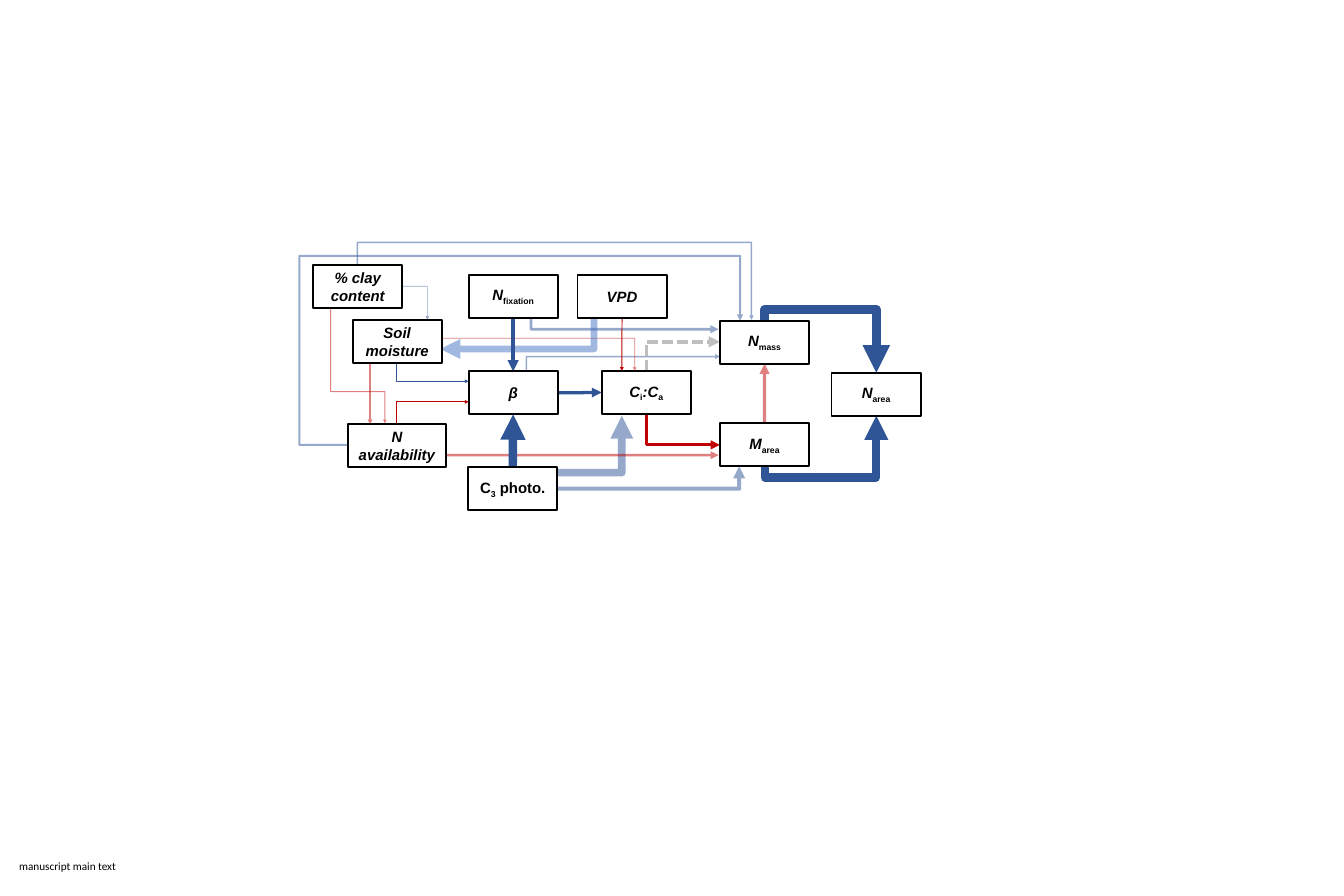
from lxml import etree
from pptx import Presentation
from pptx import util as u
from pptx.dml import color
from pptx.enum import dml, shapes, text
from pptx.oxml import ns

BLUE, RED, GREY, SKY = "2F5597", "C00000", "BFBFBF", "4472C4"
WIDE, HIGH = 1.99, 0.96
TOP, LEFT, BOTTOM, RIGHT = range(4)

# Boxes: name, left, top, width, runs of (text, style)
BOXES = [
    ("beta", 10.46, 8.29, WIDE, [("β", "italic")]),
    ("fix", 10.46, 6.13, WIDE, [("N", "italic"), ("fixation", "sub")]),
    ("narea", 18.56, 8.32, WIDE, [("Ν", "italic"), ("area", "sub")]),
    ("marea", 16.07, 9.45, WIDE, [("M", "italic"), ("area", "sub")]),
    ("nmass", 16.07, 7.16, WIDE, [("N", "italic"), ("mass", "sub")]),
    ("ratio", 13.43, 8.28, WIDE, [("C", "italic"), ("i", "sub"),
                                  (":C", "italic"), ("a", "sub")]),
    ("avail", 7.76, 9.46, 2.2, [("N availability", "italic")]),
    ("clay", 6.99, 5.91, WIDE, [("% clay content", "italic")]),
    ("photo", 10.45, 10.43, WIDE, [("C", "plain"), ("3", "sub"),
                                   (" photo.", "plain")]),
    ("soil", 7.87, 7.15, WIDE, [("Soil moisture", "italic")]),
    ("vpd", 12.89, 6.13, WIDE, [("VPD", "italic")]),
]

# Straight arrows: start, end, colour, points, faded, start joint, end joint
STRAIGHT = [
    ((9.96, 10.16), (16.04, 10.16), RED, 4.29, True, None, None),
    ((12.45, 8.76), (13.42, 8.76), BLUE, 5.25, False,
     ("beta", RIGHT), ("ratio", LEFT)),
    ((13.88, 7.08), (13.88, 8.28), RED, 1.55, False, ("vpd", BOTTOM), None),
    ((11.45, 7.09), (11.45, 8.29), BLUE, 6, False,
     ("fix", BOTTOM), ("beta", TOP)),
    ((11.44, 10.43), (11.45, 9.25), BLUE, 13.6, False,
     ("photo", TOP), ("beta", BOTTOM)),
    ((17.07, 9.45), (17.07, 8.11), RED, 5.46, True,
     ("marea", TOP), ("nmass", BOTTOM)),
    ((8.26, 8.13), (8.26, 9.47), RED, 2.62, True, None, None),
]

# Bent arrows: start, end, first direction, inner tracks, colour, points, faded
BENT = [
    ((11.72, 8.34), (16.07, 7.96), "h", [11.75], BLUE, 2.65, True),
    ((8.86, 7.85), (10.46, 8.51), "v", [], BLUE, 1.69, False),
    ((8.86, 9.66), (10.46, 8.97), "v", [], RED, 1.4, False),
    ((14.43, 8.28), (16.07, 7.63), "v", [], GREY, 6, False),
    ((14.43, 9.24), (16.07, 9.93), "v", [], RED, 4.97, False),
    ((17.07, 7.16), (19.56, 8.32), "v", [6.91], BLUE, 14.75, False),
    ((17.07, 10.41), (19.56, 9.28), "v", [10.66], BLUE, 12.97, False),
    ((8.81, 9.93), (16.52, 7.16), "h", [6.68, 5.71], BLUE, 3.41, True),
    ((11.85, 7.09), (16.04, 7.35), "v", [], BLUE, 4.45, True),
    ((7.98, 5.91), (16.78, 7.14), "v", [5.41, 16.77], BLUE, 2.42, True),
    ((11.87, 10.91), (16.5, 10.41), "h", [], BLUE, 6.5, True),
    ((12.44, 10.55), (13.88, 9.28), "h", [13.88], BLUE, 12.33, True),
    ((9.54, 7.55), (14.16, 8.28), "h", [14.17], RED, 1.12, True),
    ((7.38, 6.86), (8.59, 9.45), "v", [8.74], RED, 1.75, True),
    ((8.98, 6.39), (9.54, 7.14), "h", [], BLUE, 1.06, True),
    ((13.33, 7.08), (9.83, 7.79), "h", [13.26], SKY, 10.78, True),
]


def tint(code):
    return color.RGBColor.from_string(code)


def add_run(par, words, style, size, face):
    run = par.add_run()
    run.text = words
    font = run.font
    font.size, font.name = u.Pt(size), face
    font.color.rgb = tint("000000")
    font.bold = face == "Arial"
    font.italic = style == "italic"
    if style == "sub":
        font._element.set("baseline", "-25000")


def add_box(slide, left, top, width, runs):
    box = slide.shapes.add_shape(
        shapes.MSO_SHAPE.RECTANGLE, u.Inches(left), u.Inches(top),
        u.Inches(width), u.Inches(HIGH))
    box.shadow.inherit = False
    box.fill.solid()
    box.fill.fore_color.rgb = tint("FFFFFF")
    box.line.color.rgb = tint("000000")
    box.line.width = u.Pt(3)
    frame = box.text_frame
    frame.word_wrap = True
    frame.vertical_anchor = text.MSO_ANCHOR.MIDDLE
    par = frame.paragraphs[0]
    par.alignment = text.PP_ALIGN.CENTER
    for words, style in runs:
        add_run(par, words, style, 24, "Arial")
    return box


def add_arrow(slide, kind, start, end, code, points, faded):
    arrow = slide.shapes.add_connector(
        kind, *[u.Inches(val) for val in (*start, *end)])
    line = arrow.line
    line.color.rgb = tint(code)
    line.width = u.Pt(points)
    if code == GREY:
        line.dash_style = dml.MSO_LINE.SQUARE_DOT
    props = arrow._element.spPr
    edge = props.find(ns.qn("a:ln"))
    if faded:
        paint = next(edge.iter(ns.qn("a:srgbClr")))
        etree.SubElement(paint, ns.qn("a:alpha"), val="50000")
    etree.SubElement(edge, ns.qn("a:tailEnd"), type="triangle")
    etree.SubElement(props, ns.qn("a:effectLst"))
    return arrow


def add_bend(slide, start, end, first, tracks, code, points, faded):
    (x1, y1), (x2, y2) = start, end
    head, tail, turn = start, end, 0
    if first == "v":
        # Lay the path on its side about its centre, then turn it upright
        mid_x, mid_y = (x1 + x2) / 2, (y1 + y2) / 2
        half_w, half_h = abs(y2 - y1) / 2, (x2 - x1) / 2
        if y2 > y1:
            turn = 270
        else:
            turn, half_h = 90, -half_h
        head = mid_x + half_w, mid_y - half_h
        tail = mid_x - half_w, mid_y + half_h
    arrow = add_arrow(slide, shapes.MSO_CONNECTOR.ELBOW, head, tail,
                      code, points, faded)
    props = arrow._element.spPr
    if turn:
        props.find(ns.qn("a:xfrm")).set("rot", str(turn * 60000))
    geom = props.find(ns.qn("a:prstGeom"))
    geom.set("prst", f"bentConnector{len(tracks) + 2}")
    # Each track becomes a share of the way from start to end
    axes = [(x1, x2), (y1, y2)]
    if first == "v":
        axes.reverse()
    guides = geom.find(ns.qn("a:avLst"))
    for num, (track, (low, high)) in enumerate(zip(tracks, axes), 1):
        share = round((track - low) / (high - low) * 100000)
        etree.SubElement(guides, ns.qn("a:gd"), name=f"adj{num}",
                         fmla=f"val {share}")


def add_note(slide, words):
    note = slide.shapes.add_textbox(u.Inches(0.33), u.Inches(19.14),
                                    u.Inches(2.38), u.Inches(0.4))
    note.text_frame.word_wrap = False
    add_run(note.text_frame.paragraphs[0], words, "plain", 18, "Calibri")


def main():
    deck = Presentation()
    deck.slide_width, deck.slide_height = u.Inches(30), u.Inches(20)
    slide = deck.slides.add_slide(deck.slide_layouts[6])

    # Arrows lie behind the boxes
    for row in BENT:
        add_bend(slide, *row)
    links = []
    for *row, begin, end in STRAIGHT:
        arrow = add_arrow(slide, shapes.MSO_CONNECTOR.STRAIGHT, *row)
        links.append((arrow, begin, end))

    # Boxes
    boxes = {name: add_box(slide, *row) for name, *row in BOXES}

    # Joints
    for arrow, begin, end in links:
        if begin:
            arrow.begin_connect(boxes[begin[0]], begin[1])
        if end:
            arrow.end_connect(boxes[end[0]], end[1])

    add_note(slide, "manuscript main text")
    deck.save("out.pptx")


if __name__ == "__main__":
    main()
